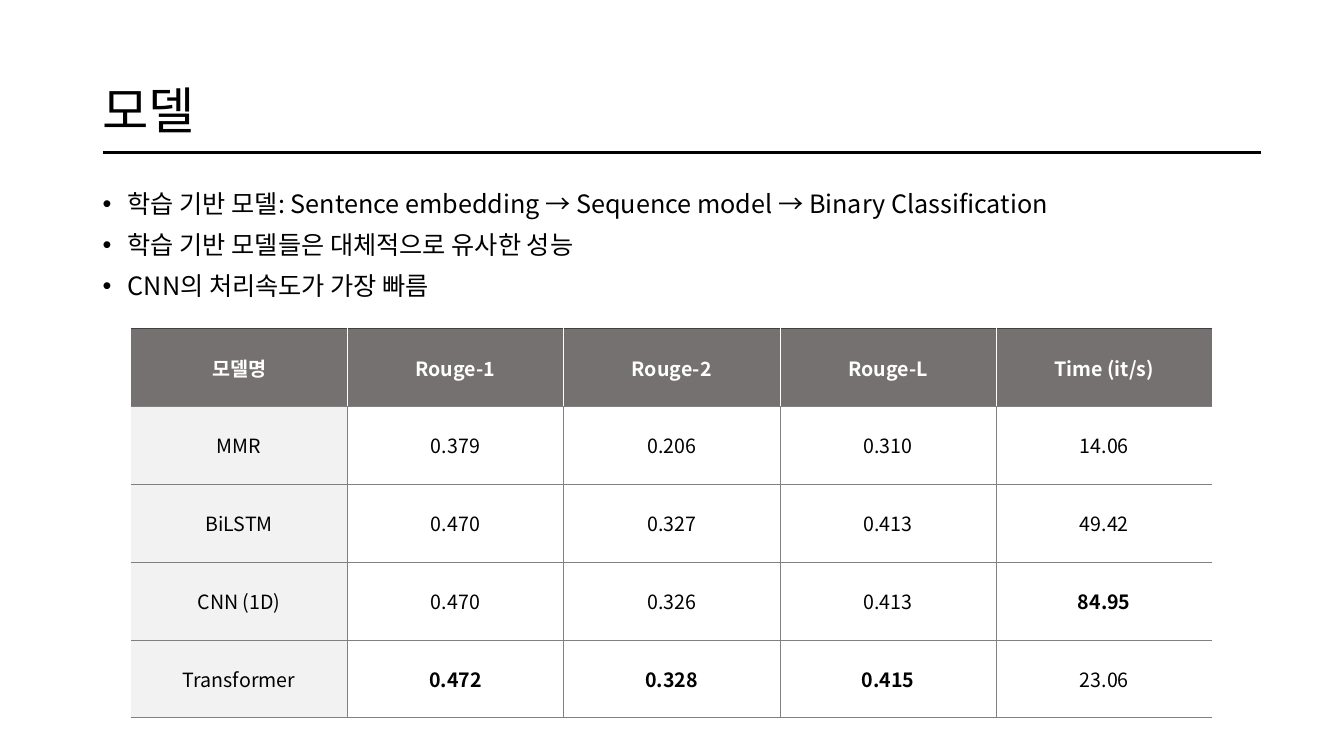
import pptx
import pptx.util
import pptx.dml.color
import pptx.enum.shapes
import pptx.enum.text
import pptx.oxml
import pptx.oxml.ns
from lxml import etree

Pt = pptx.util.Pt
qn = pptx.oxml.ns.qn
ALIGN = pptx.enum.text.PP_ALIGN
ANCHOR = pptx.enum.text.MSO_ANCHOR

FONT = "Noto Sans CJK KR"
COLORS = {
    "text": "000000",
    "white": "FFFFFF",
    "header": "767171",
    "label": "F2F2F2",
    "grid": "808080",
    "top": "404040",
}

BULLETS = [
    "학습 기반 모델: Sentence embedding → Sequence model → Binary Classification",
    "학습 기반 모델들은 대체적으로 유사한 성능",
    "CNN의 처리속도가 가장 빠름",
]
HEADERS = ["모델명", "Rouge-1", "Rouge-2", "Rouge-L", "Time (it/s)"]
RESULTS = [
    ["MMR", "0.379", "0.206", "0.310", "14.06"],
    ["BiLSTM", "0.470", "0.327", "0.413", "49.42"],
    ["CNN (1D)", "0.470", "0.326", "0.413", "84.95"],
    ["Transformer", "0.472", "0.328", "0.415", "23.06"],
]


def rgb(name):
    return pptx.dml.color.RGBColor.from_string(COLORS[name])


def write_text(paragraph, text, size=18, color="text", bold=False,
               align=ALIGN.LEFT, line_spacing=1.0, space_before=0, bullet=None):
    paragraph.alignment = align
    paragraph.line_spacing = line_spacing
    paragraph.space_before = Pt(space_before)
    if bullet:
        properties = paragraph._p.get_or_add_pPr()
        properties.set("marL", str(Pt(18)))
        properties.set("indent", str(-Pt(18)))
        etree.SubElement(properties, qn("a:buFont")).set("typeface", "Arial")
        etree.SubElement(properties, qn("a:buChar")).set("char", bullet)
    run = paragraph.add_run()
    run.text = text
    run.font.size = Pt(size)
    run.font.bold = bold
    run.font.color.rgb = rgb(color)
    run.font.name = FONT
    etree.SubElement(run._r.get_or_add_rPr(), qn("a:ea")).set("typeface", FONT)


def add_text_frame(slide, left, top, width, height, anchor):
    shape = slide.shapes.add_textbox(Pt(left), Pt(top), Pt(width), Pt(height))
    frame = shape.text_frame
    frame.word_wrap = True
    frame.vertical_anchor = anchor
    return frame


def add_title(slide, left, top, width, height):
    """Place the heading and the rule beneath it."""
    frame = add_text_frame(slide, left, top, width, height, ANCHOR.MIDDLE)
    write_text(frame.paragraphs[0], "모델", size=36, line_spacing=0.9)
    rule_top = Pt(top + 79.9)
    rule = slide.shapes.add_connector(
        pptx.enum.shapes.MSO_CONNECTOR.STRAIGHT,
        Pt(left + 7.2), rule_top, Pt(left + width + 6.5), rule_top)
    rule.line.color.rgb = rgb("text")
    rule.line.width = Pt(2.25)
    etree.SubElement(rule._element.spPr, qn("a:effectLst"))


def add_bullets(slide, left, top, width, height):
    frame = add_text_frame(slide, left, top, width, height, ANCHOR.TOP)
    for index, text in enumerate(BULLETS):
        paragraph = frame.add_paragraph() if index else frame.paragraphs[0]
        write_text(paragraph, text, line_spacing=0.9, space_before=10, bullet="•")


def set_border(cell, side, color, width=0.5):
    """Draw one side (L, R, T or B) of a cell, or clear it if color is None."""
    line = etree.SubElement(cell._tc.get_or_add_tcPr(), qn("a:ln" + side))
    line.set("w", str(Pt(width)))
    if color is None:
        etree.SubElement(line, qn("a:noFill"))
    else:
        fill = etree.SubElement(line, qn("a:solidFill"))
        etree.SubElement(fill, qn("a:srgbClr")).set("val", COLORS[color])


def style_cell(cell, is_header, is_first, is_last):
    vertical = "white" if is_header else "grid"
    set_border(cell, "L", None if is_first else vertical)
    set_border(cell, "R", None if is_last else vertical)
    set_border(cell, "T", *(("top", 1) if is_header else ("grid",)))
    set_border(cell, "B", "grid")
    if is_header or is_first:
        cell.fill.solid()
        cell.fill.fore_color.rgb = rgb("header" if is_header else "label")
    else:
        cell.fill.background()
    cell.vertical_anchor = ANCHOR.MIDDLE


def add_results(slide, left, top, width, height):
    """Place the score table, with the best value of each column in bold."""
    rows = [HEADERS] + RESULTS
    best = [None] + [max(column, key=float) for column in list(zip(*RESULTS))[1:]]
    table = slide.shapes.add_table(
        len(rows), len(HEADERS), Pt(left), Pt(top), Pt(width), Pt(height)).table
    table.first_row = False
    table.horz_banding = False
    for row_index, values in enumerate(rows):
        is_header = row_index == 0
        for column_index, value in enumerate(values):
            cell = table.cell(row_index, column_index)
            style_cell(cell, is_header, column_index == 0,
                       column_index == len(HEADERS) - 1)
            write_text(cell.text_frame.paragraphs[0], value, size=14,
                       color="white" if is_header else "text",
                       bold=is_header or value == best[column_index],
                       align=ALIGN.CENTER)


def main():
    presentation = pptx.Presentation()
    presentation.slide_width = Pt(960)
    presentation.slide_height = Pt(540)
    slide = presentation.slides.add_slide(presentation.slide_layouts[6])
    add_title(slide, 66.2, 28.8, 828, 104.4)
    add_bullets(slide, 66.2, 133.2, 828, 92.9)
    add_results(slide, 93.6, 234.7, 772.5, 278)
    presentation.save("out.pptx")


if __name__ == "__main__":
    main()
